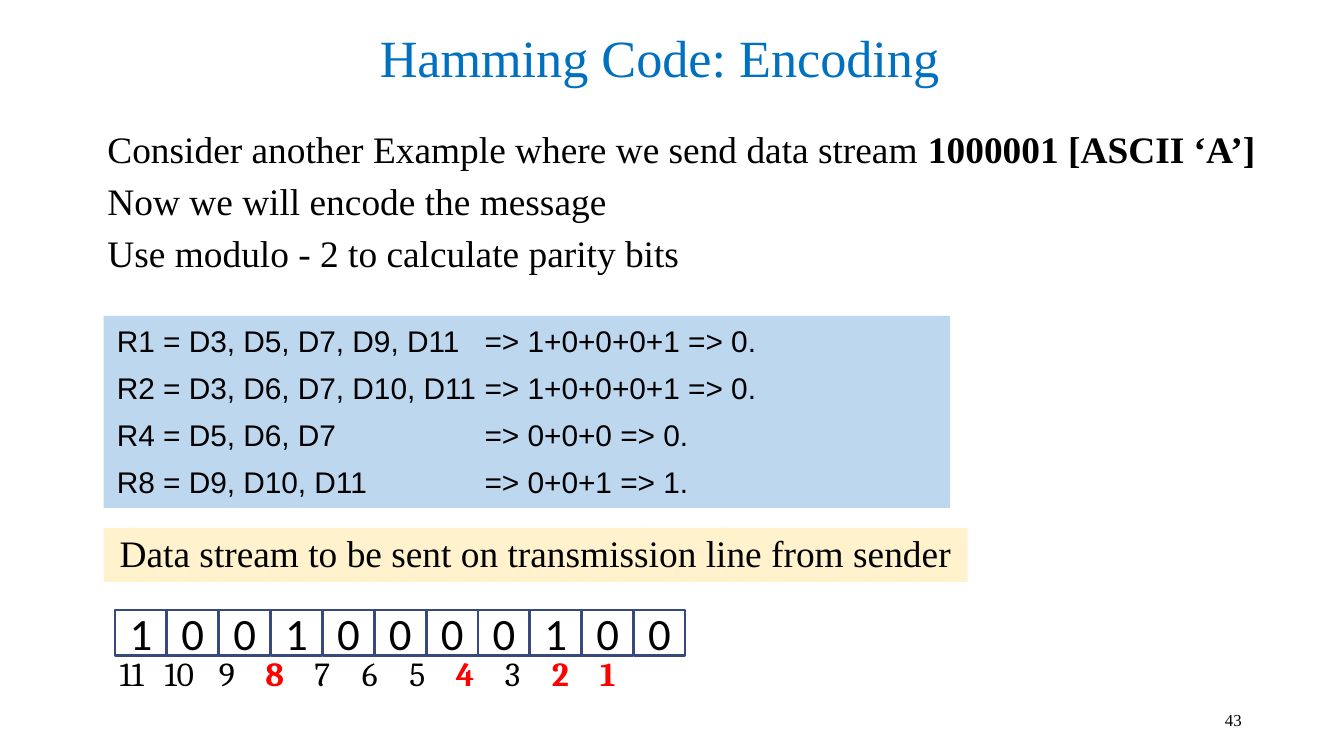
from lxml import etree
from pptx import Presentation
from pptx.dml.color import RGBColor
from pptx.enum.shapes import MSO_SHAPE
from pptx.enum.text import MSO_ANCHOR, MSO_AUTO_SIZE, PP_ALIGN
from pptx.oxml.ns import qn
from pptx.util import Cm, Pt

RECTANGLE = MSO_SHAPE.RECTANGLE
TOP, MIDDLE, BOTTOM = MSO_ANCHOR.TOP, MSO_ANCHOR.MIDDLE, MSO_ANCHOR.BOTTOM
LEFT, CENTER, RIGHT = PP_ALIGN.LEFT, PP_ALIGN.CENTER, PP_ALIGN.RIGHT
SERIF = "Times New Roman"
BLACK, RED = "000000", "FF0000"

INTRO = [
    [("Consider another Example where we send data stream ", {}),
     ("1000001 [ASCII ‘A’]", {"bold": True})],
    "Now we will encode the message",
    "Use modulo - 2 to calculate parity bits",
]
PARITY_EQUATIONS = [
    ("R1 = D3, D5, D7, D9, D11", "=> 1+0+0+0+1 => 0."),
    ("R2 = D3, D6, D7, D10, D11", "=> 1+0+0+0+1 => 0."),
    ("R4 = D5, D6, D7", "=> 0+0+0 => 0."),
    ("R8 = D9, D10, D11", "=> 0+0+1 => 1."),
]
CODEWORD = "10010000100"
PARITY_POSITIONS = {1, 2, 4, 8}


def rgb(hex_color):
    return RGBColor.from_string(hex_color)


def add_tabs(paragraph, stops, kind):
    tab_list = etree.SubElement(paragraph._p.get_or_add_pPr(), qn("a:tabLst"))
    for stop in stops:
        etree.SubElement(tab_list, qn("a:tab"), pos=str(Cm(stop)), algn=kind)


def write(shape, paragraphs, size, font=SERIF, color=BLACK, align=LEFT,
          anchor=TOP, line_spacing=1.0, gap=0, tabs=(), tab_kind="l",
          margins=(0.25, 0.13), wrap=True):
    """Fill a shape; each paragraph is a string or a list of (text, format)."""
    frame = shape.text_frame
    frame.auto_size = MSO_AUTO_SIZE.NONE
    frame.word_wrap = wrap
    frame.vertical_anchor = anchor
    frame.margin_left = frame.margin_right = Cm(margins[0])
    frame.margin_top = frame.margin_bottom = Cm(margins[1])
    for index, content in enumerate(paragraphs):
        paragraph = frame.paragraphs[0] if index == 0 else frame.add_paragraph()
        if tabs:
            add_tabs(paragraph, tabs, tab_kind)
        paragraph.alignment = align
        paragraph.line_spacing = line_spacing
        paragraph.space_before = Pt(gap if index else 0)
        runs = [(content, {})] if isinstance(content, str) else content
        for text, style in runs:
            run = paragraph.add_run()
            run.text = text
            run.font.size = Pt(size)
            run.font.name = font
            run.font.bold = style.get("bold", False)
            run.font.color.rgb = rgb(style.get("color", color))


def add_text(slide, box, paragraphs, **text_format):
    write(slide.shapes.add_textbox(*map(Cm, box)), paragraphs, **text_format)


def add_box(slide, box, paragraphs, fill=None, line=None, **text_format):
    shape = slide.shapes.add_shape(RECTANGLE, *map(Cm, box))
    shape.shadow.inherit = False
    if fill:
        shape.fill.solid()
        shape.fill.fore_color.rgb = rgb(fill)
    else:
        shape.fill.background()
    if line:
        shape.line.color.rgb = rgb(line)
        shape.line.width = Pt(1.25)
    else:
        shape.line.fill.background()
    write(shape, paragraphs, **text_format)


def add_title(slide, text):
    title = slide.shapes.title
    title.left, title.top, title.width, title.height = map(
        Cm, (1.57, 0.46, 21.79, 1.3))
    write(title, [text], size=28, color="0070C0", align=CENTER, anchor=BOTTOM,
          line_spacing=0.85, margins=(0.18, 0.1))


def add_codeword(slide):
    # Position numbers, with the parity positions picked out
    labels = []
    for position in range(len(CODEWORD), 0, -1):
        is_parity = position in PARITY_POSITIONS
        labels.append((f"\t{position}", {"bold": is_parity,
                                         "color": RED if is_parity else BLACK}))
    add_text(slide, (1.57, 12.29, 12.04, 0.94), [labels], size=18,
             font="Cambria", line_spacing=0.9, tab_kind="ctr",
             tabs=[0.67 + 0.9 * i for i in range(len(CODEWORD))])
    # One cell per bit
    for index, bit in enumerate(CODEWORD):
        add_box(slide, (2.18 + 0.98 * index, 11.53, 0.97, 0.86), [bit],
                line="364A7D", size=24, font="Calibri", align=CENTER,
                anchor=MIDDLE)


def main():
    prs = Presentation()
    prs.slide_width, prs.slide_height = Cm(25.4), Cm(14.29)
    slide = prs.slides.add_slide(prs.slide_layouts[5])

    # Title and page number
    add_title(slide, "Hamming Code: Encoding")
    add_text(slide, (17.93, 13.23, 5.72, 0.76), ["43"], size=9, align=RIGHT,
             anchor=MIDDLE, margins=(0.18, 0.1))

    # Introduction
    add_text(slide, (1.78, 2.36, 22.68, 3), INTRO, size=20,
             line_spacing=0.9, gap=6)

    # Parity calculation
    equations = [f"{bits}\t{total}" for bits, total in PARITY_EQUATIONS]
    add_box(slide, (1.96, 5.97, 16, 3.63), equations, fill="BDD7EE",
            size=16, font="Arial", gap=6, tabs=[6.95])

    # Transmitted data stream
    add_codeword(slide)
    add_box(slide, (1.96, 9.98, 16.33, 1.02),
            ["Data stream to be sent on transmission line from sender"],
            fill="FFF2CC", size=20, align=CENTER, line_spacing=0.9, wrap=False)

    prs.save("out.pptx")


if __name__ == "__main__":
    main()
